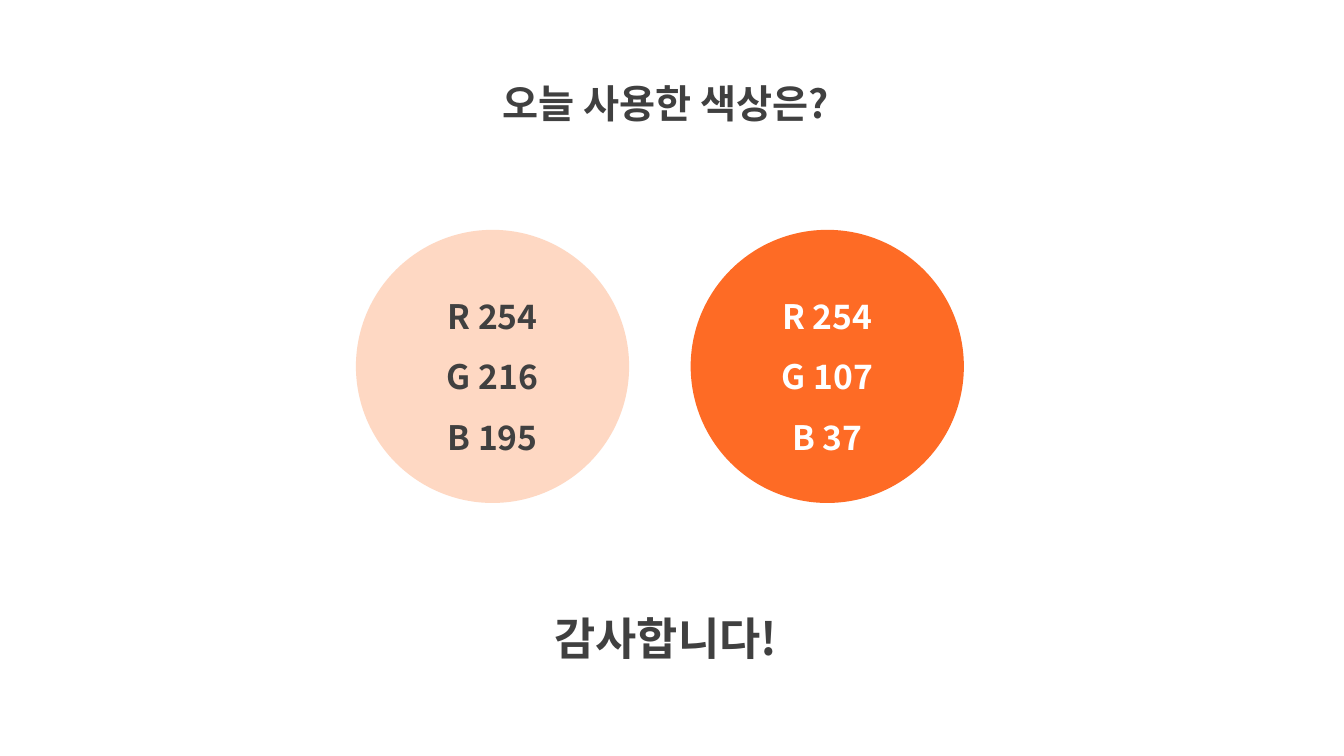
"""Build a closing slide that shows the two colours used and a thank-you line."""
from dataclasses import dataclass

from lxml import etree
from pptx import Presentation
from pptx.dml.color import RGBColor
from pptx.enum import shapes, text
from pptx.oxml import ns
from pptx.slide import Slide
from pptx.text.text import TextFrame
from pptx.util import Inches, Pt

FONT_NAME = "Noto Sans CJK KR"
DARK_GRAY = RGBColor(0x40, 0x40, 0x40)
WHITE = RGBColor(0xFF, 0xFF, 0xFF)
PEACH = RGBColor(0xFE, 0xD8, 0xC3)
ORANGE = RGBColor(0xFE, 0x6B, 0x25)

CIRCLE_LEFT, CIRCLE_TOP = 3.53, 2.28
CIRCLE_SIZE, CIRCLE_STEP = 2.71, 3.32


@dataclass(frozen=True)
class Heading:
    wording: str
    left: float
    top: float
    width: float
    height: float
    size: int


@dataclass(frozen=True)
class Swatch:
    fill: RGBColor
    text_color: RGBColor


HEADINGS = [
    Heading("오늘 사용한 색상은?", 4.29, 0.5, 4.63, 0.72, 28),
    Heading("감사합니다!", 2.61, 5.74, 7.99, 0.8, 32),
]
SWATCHES = [Swatch(PEACH, DARK_GRAY), Swatch(ORANGE, WHITE)]


def write_lines(frame: TextFrame, lines: list[str], size: int, color: RGBColor) -> None:
    frame.word_wrap = True
    font_format = {"name": FONT_NAME, "size": Pt(size), "bold": True}
    for index, line in enumerate(lines):
        paragraph = frame.add_paragraph() if index else frame.paragraphs[0]
        paragraph.alignment = text.PP_ALIGN.CENTER
        paragraph.line_spacing = 1.5
        run = paragraph.add_run()
        run.text = line
        for name, value in font_format.items():
            setattr(run.font, name, value)
        run.font.color.rgb = color
        properties = run._r.get_or_add_rPr()
        etree.SubElement(properties, ns.qn("a:ea"), typeface=FONT_NAME)


def add_heading(slide: Slide, heading: Heading) -> None:
    box = slide.shapes.add_textbox(
        Inches(heading.left), Inches(heading.top),
        Inches(heading.width), Inches(heading.height),
    )
    write_lines(box.text_frame, [heading.wording], heading.size, DARK_GRAY)
    box.text_frame.auto_size = text.MSO_AUTO_SIZE.SHAPE_TO_FIT_TEXT


def add_swatch(slide: Slide, swatch: Swatch, left: float) -> None:
    circle = slide.shapes.add_shape(
        shapes.MSO_SHAPE.OVAL, Inches(left), Inches(CIRCLE_TOP),
        Inches(CIRCLE_SIZE), Inches(CIRCLE_SIZE),
    )
    circle.shadow.inherit = False
    circle.fill.solid()
    circle.fill.fore_color.rgb = swatch.fill
    circle.line.fill.background()
    circle.text_frame.vertical_anchor = text.MSO_ANCHOR.MIDDLE
    lines = [f"{channel} {value}" for channel, value in zip("RGB", swatch.fill)]
    write_lines(circle.text_frame, lines, 24, swatch.text_color)


def main() -> None:
    presentation = Presentation()
    presentation.slide_width = Inches(13.33)
    presentation.slide_height = Inches(7.5)
    slide = presentation.slides.add_slide(presentation.slide_layouts[6])
    for heading in HEADINGS:
        add_heading(slide, heading)
    for index, swatch in enumerate(SWATCHES):
        add_swatch(slide, swatch, CIRCLE_LEFT + index * CIRCLE_STEP)
    presentation.save("out.pptx")


if __name__ == "__main__":
    main()
